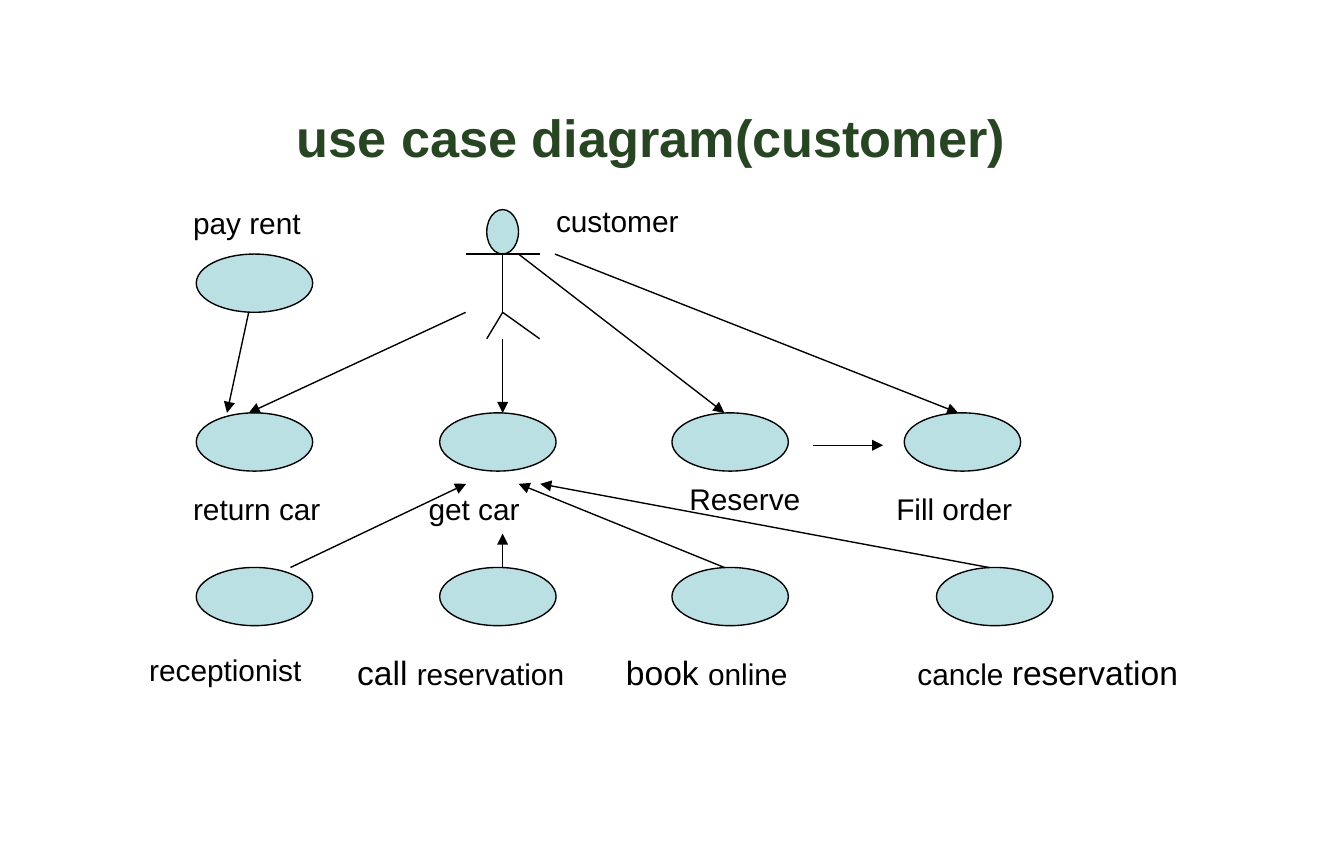
from lxml import etree
from pptx import Presentation
from pptx.dml.color import RGBColor
from pptx.enum.shapes import MSO_CONNECTOR, MSO_SHAPE
from pptx.enum.text import MSO_ANCHOR, PP_ALIGN
from pptx.oxml.ns import qn
from pptx.util import Cm, Pt

OVAL, STRAIGHT = MSO_SHAPE.OVAL, MSO_CONNECTOR.STRAIGHT
LEFT, CENTER = PP_ALIGN.LEFT, PP_ALIGN.CENTER
MIDDLE, TOP = MSO_ANCHOR.MIDDLE, MSO_ANCHOR.TOP

COLORS = {"title": "284523", "oval": "BBE0E3", "ink": "000000"}
FONT = "Arial"

# Content, all lengths in cm
TITLE = "use case diagram(customer)"
OVAL_W, OVAL_H = 2.2, 1.1
COLUMNS = [3.71, 8.31, 12.7, 17.09]
PAY_Y, CASE_Y, SOURCE_Y = 4.8, 7.8, 10.72
use_cases = [(COLUMNS[0], PAY_Y)]
use_cases += [(x, CASE_Y) for x in COLUMNS]
use_cases += [(x, SOURCE_Y) for x in COLUMNS[:3] + [17.7]]

# Label: left, top, width, runs of (text, size)
labels = [
    (10.26, 3.7, 3.43, [("customer", 16)]),
    (3.4, 3.74, 3.48, [("pay rent", 16)]),
    (3.4, 9.14, 3.3, [("return car", 16)]),
    (7.85, 9.14, 3.3, [("get car", 16)]),
    (12.78, 8.95, 3.12, [("Reserve", 16)]),
    (16.69, 9.14, 2.84, [("Fill order", 16)]),
    (2.57, 12.19, 4.27, [("receptionist", 16)]),
    (6.5, 12.19, 5.54, [("call ", 18), ("reservation", 16)]),
    (11.58, 12.19, 4.32, [("book ", 18), ("online", 16)]),
    (17.09, 12.19, 5.99, [("cancle ", 16), ("reservation", 18)]),
]

# Stick figure of the customer
BODY_X, HIP_Y, FEET_Y = 9.5, 5.9, 6.4
HEAD_W, HEAD_H = 0.6, 0.84
limbs = [
    ((8.8, PAY_Y), (10.2, PAY_Y)),
    ((BODY_X, PAY_Y), (BODY_X, HIP_Y)),
    ((BODY_X, HIP_Y), (10.2, FEET_Y)),
    ((BODY_X, HIP_Y), (9.2, FEET_Y)),
]

GET_CAR_Y = 9.14
arrows = [
    ((9.8, PAY_Y), (13.69, CASE_Y)),
    ((10.49, PAY_Y), (18.11, CASE_Y)),
    ((BODY_X, FEET_Y), (BODY_X, CASE_Y)),
    ((8.8, HIP_Y), (4.7, CASE_Y)),
    ((4.7, HIP_Y), (4.29, CASE_Y)),
    ((15.37, 8.41), (16.69, 8.41)),
    ((5.49, SOURCE_Y), (8.81, GET_CAR_Y)),
    ((BODY_X, SOURCE_Y), (BODY_X, 10.08)),
    ((13.69, SOURCE_Y), (9.8, GET_CAR_Y)),
    ((18.69, SOURCE_Y), (10.21, GET_CAR_Y)),
]


def rgb(name):
    return RGBColor.from_string(COLORS[name])


def write(frame, runs, color="ink", bold=False, align=LEFT, anchor=TOP):
    frame.word_wrap = True
    frame.vertical_anchor = anchor
    paragraph = frame.paragraphs[0]
    paragraph.alignment = align
    for text, size in runs:
        run = paragraph.add_run()
        run.text = text
        run.font.name = FONT
        run.font.size = Pt(size)
        run.font.bold = bold
        run.font.color.rgb = rgb(color)


def add_oval(slide, x, y, width, height):
    oval = slide.shapes.add_shape(OVAL, Cm(x), Cm(y), Cm(width), Cm(height))
    oval.shadow.inherit = False
    oval.fill.solid()
    oval.fill.fore_color.rgb = rgb("oval")
    oval.line.color.rgb = rgb("ink")
    oval.line.width = Pt(0.75)


def add_line(slide, start, end, arrow=False):
    line = slide.shapes.add_connector(STRAIGHT, *map(Cm, start + end))
    line.line.color.rgb = rgb("ink")
    line.line.width = Pt(0.75)
    properties = line._element.spPr
    etree.SubElement(properties, qn("a:effectLst"))
    if arrow:
        etree.SubElement(properties.find(qn("a:ln")), qn("a:tailEnd"), type="triangle")


def main():
    deck = Presentation()
    deck.slide_width, deck.slide_height = Cm(25.4), Cm(16)
    slide = deck.slides.add_slide(deck.slide_layouts[5])

    # Title
    title = slide.shapes.title
    title.left, title.top, title.width, title.height = map(Cm, (1.5, 1.19, 21.6, 2.77))
    write(title.text_frame, [(TITLE, 28)], color="title", bold=True,
          align=CENTER, anchor=MIDDLE)

    # Use cases
    for x, y in use_cases:
        add_oval(slide, x, y, OVAL_W, OVAL_H)

    # Customer
    add_oval(slide, BODY_X - HEAD_W / 2, PAY_Y - HEAD_H, HEAD_W, HEAD_H)
    for start, end in limbs:
        add_line(slide, start, end)

    # Labels
    for x, y, width, runs in labels:
        label = slide.shapes.add_textbox(Cm(x), Cm(y), Cm(width), Cm(0.95))
        write(label.text_frame, runs)

    # Relations
    for start, end in arrows:
        add_line(slide, start, end, arrow=True)

    deck.save("out.pptx")


if __name__ == "__main__":
    main()
